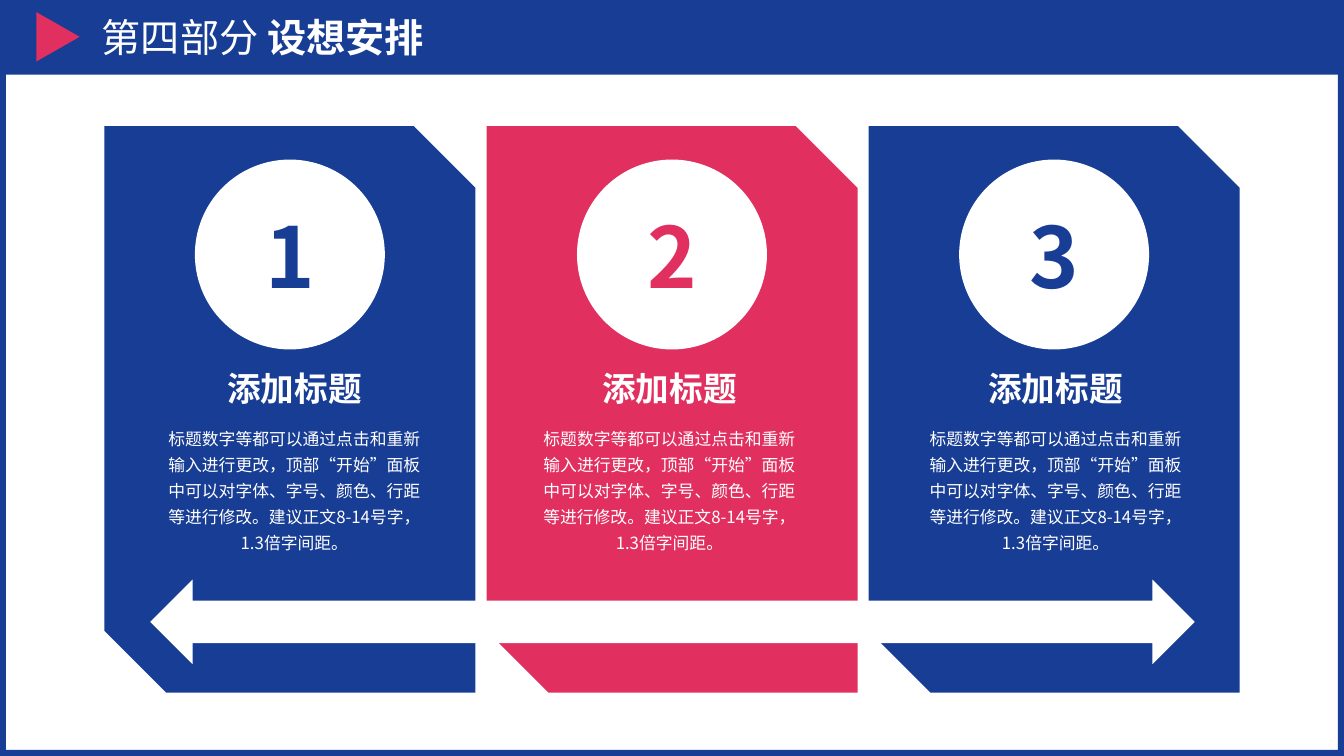
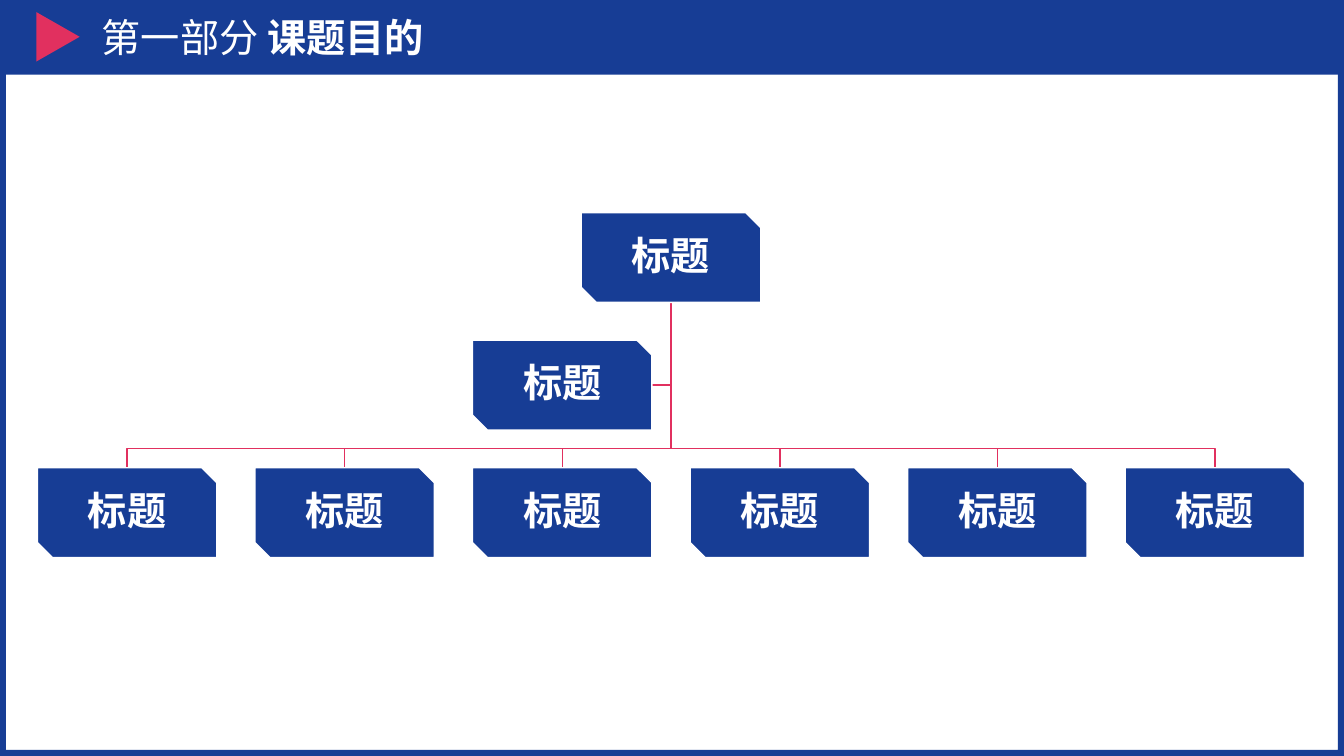
"""Build two slides: a three-card plan with a double arrow, and an organisation chart."""
from lxml import etree
from pptx import Presentation
from pptx.dml.color import RGBColor
from pptx.enum.shapes import MSO_SHAPE
from pptx.enum.text import MSO_ANCHOR, MSO_AUTO_SIZE, PP_ALIGN
from pptx.oxml.ns import qn
from pptx.util import Inches, Pt

FRAME, RECTANGLE, TRIANGLE = MSO_SHAPE.FRAME, MSO_SHAPE.RECTANGLE, MSO_SHAPE.ISOSCELES_TRIANGLE
SNIPPED, OVAL, DOUBLE_ARROW = MSO_SHAPE.SNIP_2_DIAG_RECTANGLE, MSO_SHAPE.OVAL, MSO_SHAPE.LEFT_RIGHT_ARROW
LEFT, CENTER, MIDDLE = PP_ALIGN.LEFT, PP_ALIGN.CENTER, MSO_ANCHOR.MIDDLE
NO_FIT, GROW = MSO_AUTO_SIZE.NONE, MSO_AUTO_SIZE.SHAPE_TO_FIT_TEXT

FONT = "Noto Sans CJK SC"
COLORS = {"blue": "173D95", "red": "E1305F", "white": "FFFFFF"}
WIDTH, HEIGHT, BAND_HEIGHT = 13.33, 7.5, 0.74
TITLES = [("第四部分 ", "设想安排"), ("第一部分 ", "课题目的")]
CARD_TEXT = (
    "标题数字等都可以通过点击和重新输入进行更改，顶部“开始”面板中可以对字体、字号、颜色、"
    "行距等进行修改。建议正文8-14号字，1.3倍字间距。"
)


def add_block(slide, preset, box, color, outline=None):
    shape = slide.shapes.add_shape(preset, *[Inches(length) for length in box])
    shape.shadow.inherit = False
    shape.fill.solid()
    shape.fill.fore_color.rgb = RGBColor.from_string(COLORS[color])
    if outline:
        shape.line.color.rgb = RGBColor.from_string(COLORS[outline])
        shape.line.width = Pt(1)
    else:
        shape.line.fill.background()
    return shape


def style_paragraph(paragraph, size, color="white", bold=False, align=CENTER, spacing=None):
    paragraph.alignment = align
    paragraph.line_spacing = spacing
    font = paragraph.font
    font.size = Pt(size)
    font.bold = bold
    font.color.rgb = RGBColor.from_string(COLORS[color])
    font.name = FONT
    etree.SubElement(font._element, qn("a:ea"), typeface=FONT)


presentation = Presentation()
presentation.slide_width = Inches(WIDTH)
presentation.slide_height = Inches(HEIGHT)
layout = presentation.slide_layouts.get_by_name("Title Only")
title_area = layout.placeholders[0]
title_area.left, title_area.top = Inches(0.91), Inches(0)
title_area.width, title_area.height = Inches(11.98), Inches(BAND_HEIGHT)
plan_slide, chart_slide = [presentation.slides.add_slide(layout) for _ in TITLES]

frame = add_block(plan_slide, FRAME, (0, 0, WIDTH, HEIGHT), "blue")
frame.adjustments[0] = 0.008
band = add_block(plan_slide, RECTANGLE, (0, 0, WIDTH, BAND_HEIGHT), "blue")
marker = add_block(plan_slide, TRIANGLE, (0.33, 0.15, 0.49, 0.43), "red")
marker.rotation = 90
for number, shape in enumerate((frame, band, marker)):
    shape.element.nvSpPr.cNvPr.id = 20 + number
    layout.shapes.element.insert(2 + number, shape.element)

for slide, (part, topic) in zip((plan_slide, chart_slide), TITLES):
    text_frame = slide.shapes.title.text_frame
    text_frame.auto_size = NO_FIT
    text_frame.vertical_anchor = MIDDLE
    paragraph = text_frame.paragraphs[0]
    paragraph.space_before = Pt(10)
    style_paragraph(paragraph, 28, align=LEFT)
    paragraph.add_run().text = part
    topic_run = paragraph.add_run()
    topic_run.text = topic
    topic_run.font.bold = True

CARD_WIDTH, CARD_STEP, CIRCLE_SIZE = 3.68, 3.79, 1.87
for index, (color, text_center) in enumerate([("blue", 2.92), ("red", 6.64), ("blue", 10.47)]):
    center = WIDTH / 2 + (index - 1) * CARD_STEP
    add_block(plan_slide, SNIPPED, (center - CARD_WIDTH / 2, 1.25, CARD_WIDTH, 5.62), color)
    circle_box = (center - CIRCLE_SIZE / 2, 1.59, CIRCLE_SIZE, CIRCLE_SIZE)
    circle = add_block(plan_slide, OVAL, circle_box, "white", "white")
    circle.text_frame.text = str(index + 1)
    style_paragraph(circle.text_frame.paragraphs[0], 60, color, bold=True)
    for text, top, width, height, size, bold, spacing in [
        ("添加标题", 3.65, 2.58, 0.46, 24, True, 0.9),
        (CARD_TEXT, 4.14, 2.75, 1.41, 12, False, 1.3),
    ]:
        text_box = plan_slide.shapes.add_textbox(
            Inches(text_center - width / 2), Inches(top), Inches(width), Inches(height))
        text_frame = text_box.text_frame
        text_frame.word_wrap = True
        text_frame.auto_size = GROW
        text_frame.text = text
        style_paragraph(text_frame.paragraphs[0], size, bold=bold, spacing=spacing)
add_block(plan_slide, DOUBLE_ARROW, (1.49, 5.75, 10.36, 0.84), "white")

NODE_WIDTH, NODE_HEIGHT = 1.78, 0.89
FIRST_CENTER, LAST_CENTER, LEAF_COUNT = 1.26, 12.05, 6
ROOT_TOP, LEAF_TOP, BUS_TOP = 2.11, 4.64, 4.45
leaf_step = (LAST_CENTER - FIRST_CENTER) / (LEAF_COUNT - 1)
leaf_centers = [FIRST_CENTER + column * leaf_step for column in range(LEAF_COUNT)]
root_center = (FIRST_CENTER + LAST_CENTER) / 2
root_bottom = ROOT_TOP + NODE_HEIGHT
assistant_center, assistant_top = leaf_centers[2], (ROOT_TOP + LEAF_TOP) / 2
assistant_middle = assistant_top + NODE_HEIGHT / 2

branches = [[(root_center, assistant_middle), (assistant_center + NODE_WIDTH / 2, assistant_middle)]]
branches += [
    [(root_center, BUS_TOP), (center, BUS_TOP), (center, LEAF_TOP)] for center in reversed(leaf_centers)
]
for points in branches:
    builder = chart_slide.shapes.build_freeform(Inches(root_center), Inches(root_bottom))
    builder.add_line_segments([(Inches(x), Inches(y)) for x, y in points], close=False)
    branch = builder.convert_to_shape()
    branch.shadow.inherit = False
    branch.fill.background()
    branch.line.color.rgb = RGBColor.from_string(COLORS["red"])
    branch.line.width = Pt(1)

positions = [(root_center, ROOT_TOP)]
positions += [(center, LEAF_TOP) for center in leaf_centers]
positions.append((assistant_center, assistant_top))
for center, top in positions:
    node_box = (center - NODE_WIDTH / 2, top, NODE_WIDTH, NODE_HEIGHT)
    node = add_block(chart_slide, SNIPPED, node_box, "blue", "white")
    text_frame = node.text_frame
    text_frame.margin_left = text_frame.margin_right = Inches(0.03)
    text_frame.margin_top = text_frame.margin_bottom = Inches(0.03)
    text_frame.text = "标题"
    style_paragraph(text_frame.paragraphs[0], 28, bold=True, spacing=0.9)

presentation.save("out.pptx")
